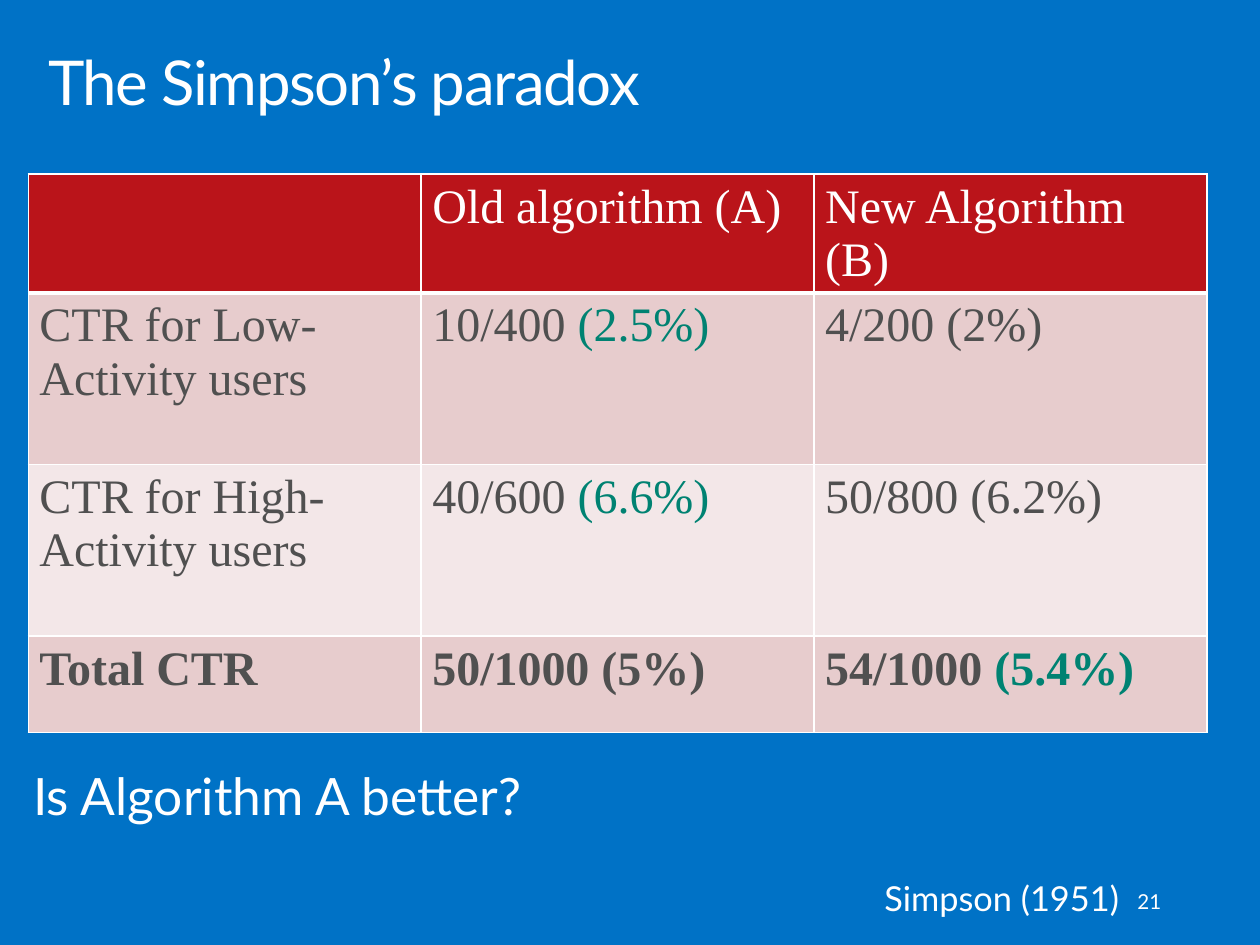
from dataclasses import dataclass

from lxml.etree import SubElement
from pptx import Presentation
from pptx.dml.color import RGBColor
from pptx.enum.text import MSO_ANCHOR as Anchor, PP_ALIGN as Align
from pptx.oxml.ns import qn
from pptx.slide import Slide
from pptx.util import Emu, Pt

PX = 9144
WHITE, BLUE, RED = "FFFFFF", "0072C6", "BA141A"
GREY, GREEN = "505050", "008272"
ROSE, PALE = "E7CCCD", "F3E7E8"


@dataclass
class Label:
    text: str
    box: tuple[int, int, int, int]
    size: int
    pad: tuple[int, int]
    align: Align = Align.LEFT
    anchor: Anchor = Anchor.TOP
    lead: float = 0.9
    track: int = 0


@dataclass
class Row:
    cells: list[tuple[str, str]]
    high: int
    fill: str
    ink: str = GREY
    bold: bool = False
    base: int = 1


LABELS = [
    Label("Is Algorithm A better?", (27, 620, 867, 62), 30, (0, 4)),
    Label("The Simpson’s paradox", (23, 32, 975, 100), 36, (16, 10), track=-80),
    Label("21", (720, 709, 230, 41), 12, (10, 5), Align.RIGHT, Anchor.MIDDLE, 1.0),
    Label("Simpson (1951)", (218, 699, 708, 63), 20, (20, 16), Align.RIGHT),
]

ROWS = [
    Row([("", ""), ("Old algorithm (A)", ""), ("New Algorithm (B)", "")],
        96, RED, WHITE, base=3),
    Row([("CTR for Low-Activity users", ""), ("10/400 ", "(2.5%)"),
         ("4/200 (2%)", "")], 139, ROSE),
    Row([("CTR for High-Activity users", ""), ("40/600 ", "(6.6%)"),
         ("50/800 (6.2%)", "")], 139, PALE),
    Row([("Total CTR", ""), ("50/1000 (5%)", ""), ("54/1000 ", "(5.4%)")],
        78, ROSE, bold=True),
]


def px(num: int) -> Emu:
    """Turn px into EMU."""
    return Emu(num * PX)


def color(code: str) -> RGBColor:
    """Turn a hex string into a colour."""
    return RGBColor.from_string(code)


def write(slide: Slide, label: Label) -> None:
    """Add one line of text."""
    frame = slide.shapes.add_textbox(*map(px, label.box)).text_frame
    frame.word_wrap = True
    frame.vertical_anchor = label.anchor
    frame.margin_left = frame.margin_right = px(label.pad[0])
    frame.margin_top = frame.margin_bottom = px(label.pad[1])
    para = frame.paragraphs[0]
    para.alignment, para.line_spacing = label.align, label.lead
    run = para.add_run()
    run.text = label.text
    if label.track:
        run._r.get_or_add_rPr().set("spc", str(label.track))
    font = para.font
    font.name, font.size = "Lato", Pt(label.size)
    font.color.rgb = color(WHITE)


def edge(cell, base: int) -> None:
    """Draw white borders round a cell."""
    props = cell._tc.get_or_add_tcPr()
    for side, wide in zip("LRTB", (1, 1, 1, base)):
        line = SubElement(props, qn(f"a:ln{side}"), w=str(Pt(wide)))
        fill = SubElement(line, qn("a:solidFill"))
        SubElement(fill, qn("a:srgbClr"), val=WHITE)


def grid(slide: Slide, rows: list[Row]) -> None:
    """Add the table of click rates."""
    wide, cols = 318, len(rows[0].cells)
    high = sum(row.high for row in rows)
    table = slide.shapes.add_table(
        len(rows), cols, px(23), px(141), px(wide * cols), px(high)).table
    for col in table.columns:
        col.width = px(wide)
    for y, row in enumerate(rows):
        table.rows[y].height = px(row.high)
        for x, (text, mark) in enumerate(row.cells):
            cell = table.cell(y, x)
            cell.margin_left = cell.margin_right = px(9)
            cell.margin_top = cell.margin_bottom = px(5)
            edge(cell, row.base)
            cell.fill.solid()
            cell.fill.fore_color.rgb = color(row.fill)
            para = cell.text_frame.paragraphs[0]
            font = para.font
            font.name, font.size, font.bold = "Times New Roman", Pt(28), row.bold
            for part, ink in ((text, row.ink), (mark, GREEN)):
                if part:
                    run = para.add_run()
                    run.text = part
                    run.font.color.rgb = color(ink)


def main() -> None:
    """Build and save the slide."""
    deck = Presentation()
    deck.slide_width, deck.slide_height = px(1020), px(765)
    slide = deck.slides.add_slide(deck.slide_layouts[6])
    back = slide.background.fill
    back.solid()
    back.fore_color.rgb = color(BLUE)
    grid(slide, ROWS)
    for label in LABELS:
        write(slide, label)
    deck.save("out.pptx")


if __name__ == "__main__":
    main()
